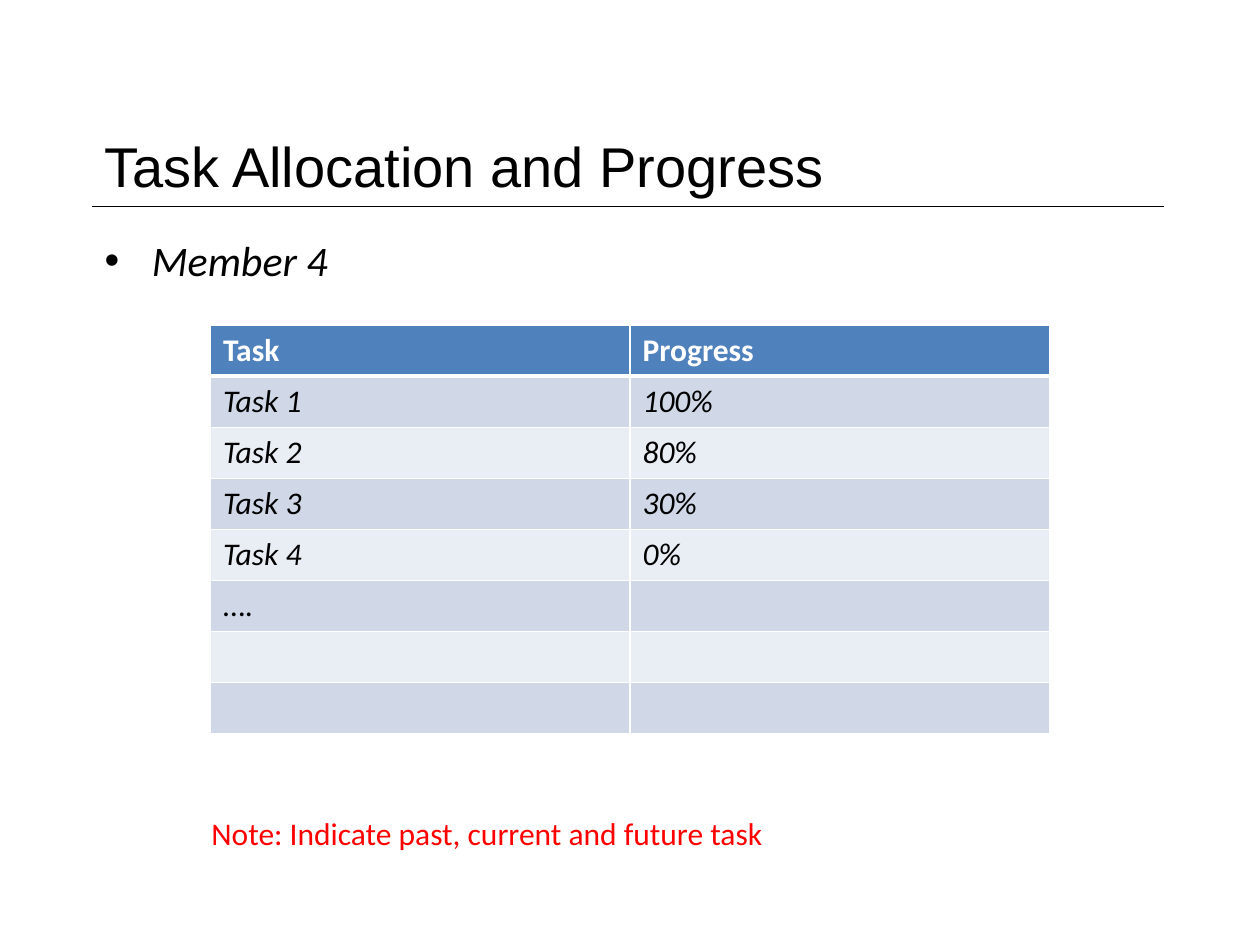
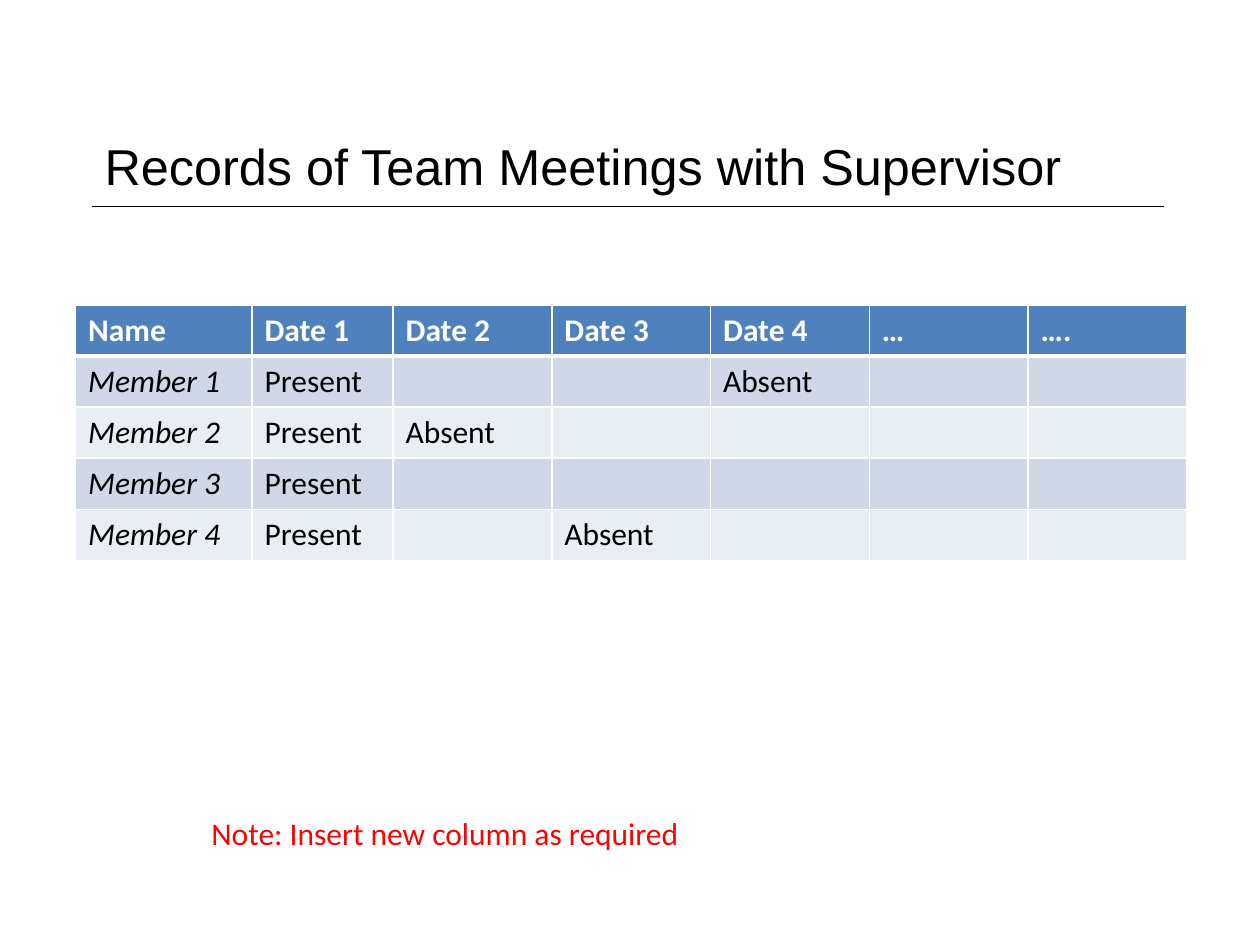
from dataclasses import dataclass
from lxml.etree import SubElement
from pptx import Presentation
from pptx.dml.color import RGBColor
from pptx.enum.shapes import MSO_CONNECTOR as Connector
from pptx.enum.text import MSO_ANCHOR as Anchor, MSO_AUTO_SIZE as AutoSize, PP_ALIGN as Align
from pptx.oxml import parse_xml
from pptx.oxml.ns import nsdecls, qn
from pptx.util import Inches, Pt


# Theme: colours, fonts and type sizes
@dataclass(frozen=True)
class Theme:
    ink: str = "000000"
    paper: str = "FFFFFF"
    header: str = "4F81BD"
    bands: tuple = ("D0D8E8", "E9EDF4")
    note: str = "FF0000"
    title_font: str = "Arial"
    body_font: str = "Calibri"
    list_size: float = 24
    text_size: float = 18
    grid_line: float = 1
    header_line: float = 3


THEME = Theme()

# Content
SLIDES = [
    {
        "title": "Task Allocation and Progress", "title_size": 32,
        "bullets": ["Member 4"],
        "rows": [
            ("Task ", "Progress"),
            ("Task 1", "100%"),
            ("Task 2", "80%"),
            ("Task 3 ", "30%"),
            ("Task 4", "0%"),
            ("….", ""),
            ("", ""),
            ("", ""),
        ],
        "table_at": (1.67, 2.58), "columns": [3.33] * 2, "italic_columns": (0, 1),
        "note": "Note: Indicate past, current and future task", "note_width": 4.63,
    },
    {
        "title": "Records of Team Meetings with Supervisor", "title_size": 28.8,
        "bullets": [],
        "rows": [
            ("Name", "Date 1", "Date 2", "Date 3", "Date 4", "…", "…."),
            ("Member 1", "Present", "", "", "Absent", "", ""),
            ("Member 2", "Present", "Absent", "", "", "", ""),
            ("Member 3", "Present", "", "", "", "", ""),
            ("Member 4", "Present", "", "Absent", "", "", ""),
        ],
        "table_at": (0.6, 2.42), "columns": [1.4, 1.12] + [1.26] * 5, "italic_columns": (0,),
        "note": "Note: Insert new column as required", "note_width": 3.96,
    },
]

# Shared layout, in inches
LEFT, WIDTH = 0.73, 8.51
TITLE_TOP, RULE_TOP = 0.98, 1.64
BODY_TOP, BODY_HEIGHT = 1.81, 4.94
NOTE_LEFT, NOTE_TOP, NOTE_HEIGHT = 1.58, 6.41, 0.4
ROW_HEIGHT = 0.405


def place(shape, left, top, width, height):
    shape.left, shape.top, shape.width, shape.height = map(Inches, (left, top, width, height))


def add_run(paragraph, text, size, color=THEME.ink, font=THEME.body_font, bold=False, italic=False):
    run = paragraph.add_run()
    run.text = text
    run.font.size, run.font.name = Pt(size), font
    run.font.bold, run.font.italic = bold, italic
    run.font.color.rgb = RGBColor.from_string(color)


def add_title(slide, text, size):
    title = slide.shapes.title
    place(title, LEFT, TITLE_TOP, WIDTH, RULE_TOP - TITLE_TOP)
    frame = title.text_frame
    frame.auto_size, frame.vertical_anchor = AutoSize.NONE, Anchor.MIDDLE
    frame.paragraphs[0].alignment = Align.LEFT
    add_run(frame.paragraphs[0], text, size, font=THEME.title_font)

    # Rule under the title
    rule = slide.shapes.add_connector(
        Connector.STRAIGHT, *map(Inches, (LEFT, RULE_TOP, LEFT + WIDTH, RULE_TOP)))
    rule.line.width = Pt(0.25)
    rule.line.color.rgb = RGBColor.from_string(THEME.ink)
    SubElement(rule._element.spPr, qn("a:effectLst"))


def add_bullets(slide, bullets):
    body = slide.placeholders[1]
    place(body, LEFT, BODY_TOP, WIDTH, BODY_HEIGHT)
    frame = body.text_frame
    frame.auto_size = AutoSize.NONE
    for index, text in enumerate(bullets):
        paragraph = frame.add_paragraph() if index else frame.paragraphs[0]
        add_run(paragraph, text, THEME.list_size, italic=True)


def set_borders(cell, row):
    heavy_side = {0: "B", 1: "T"}.get(row)  # the line between header and body
    properties = cell._tc.get_or_add_tcPr()
    for index, side in enumerate("LRTB"):
        width = THEME.header_line if side == heavy_side else THEME.grid_line
        properties.insert(index, parse_xml(
            f'<a:ln{side} {nsdecls("a")} w="{Pt(width)}"><a:solidFill>'
            f'<a:srgbClr val="{THEME.paper}"/></a:solidFill></a:ln{side}>'))


def add_grid(slide, rows, position, columns, italic_columns):
    size = (sum(columns), ROW_HEIGHT * len(rows))
    table = slide.shapes.add_table(
        len(rows), len(columns), *map(Inches, position + size)).table
    for column, width in zip(table.columns, columns):
        column.width = Inches(width)
    for row, texts in enumerate(rows):
        is_header = row == 0
        fill = THEME.header if is_header else THEME.bands[(row - 1) % 2]
        for column, text in enumerate(texts):
            cell = table.cell(row, column)
            cell.fill.solid()
            cell.fill.fore_color.rgb = RGBColor.from_string(fill)
            set_borders(cell, row)
            paragraph = cell.text_frame.paragraphs[0]
            if text:
                italic = not is_header and column in italic_columns and text != "…."
                add_run(paragraph, text, THEME.text_size,
                        THEME.paper if is_header else THEME.ink, bold=is_header, italic=italic)
            else:
                paragraph.font.size = Pt(THEME.text_size)


def add_note(slide, text, width):
    box = slide.shapes.add_textbox(*map(Inches, (NOTE_LEFT, NOTE_TOP, width, NOTE_HEIGHT)))
    box.text_frame.word_wrap = False
    box.text_frame.auto_size = AutoSize.SHAPE_TO_FIT_TEXT
    add_run(box.text_frame.paragraphs[0], text, THEME.text_size, THEME.note)


# Build the slides
presentation = Presentation()
presentation.slide_width, presentation.slide_height = Inches(10), Inches(7.5)
TITLE_AND_CONTENT, TITLE_ONLY = (presentation.slide_layouts[index] for index in (1, 5))

for content in SLIDES:
    layout = TITLE_AND_CONTENT if content["bullets"] else TITLE_ONLY
    slide = presentation.slides.add_slide(layout)
    add_title(slide, content["title"], content["title_size"])
    if content["bullets"]:
        add_bullets(slide, content["bullets"])
    add_grid(slide, content["rows"], content["table_at"],
             content["columns"], content["italic_columns"])
    add_note(slide, content["note"], content["note_width"])

presentation.save("out.pptx")
